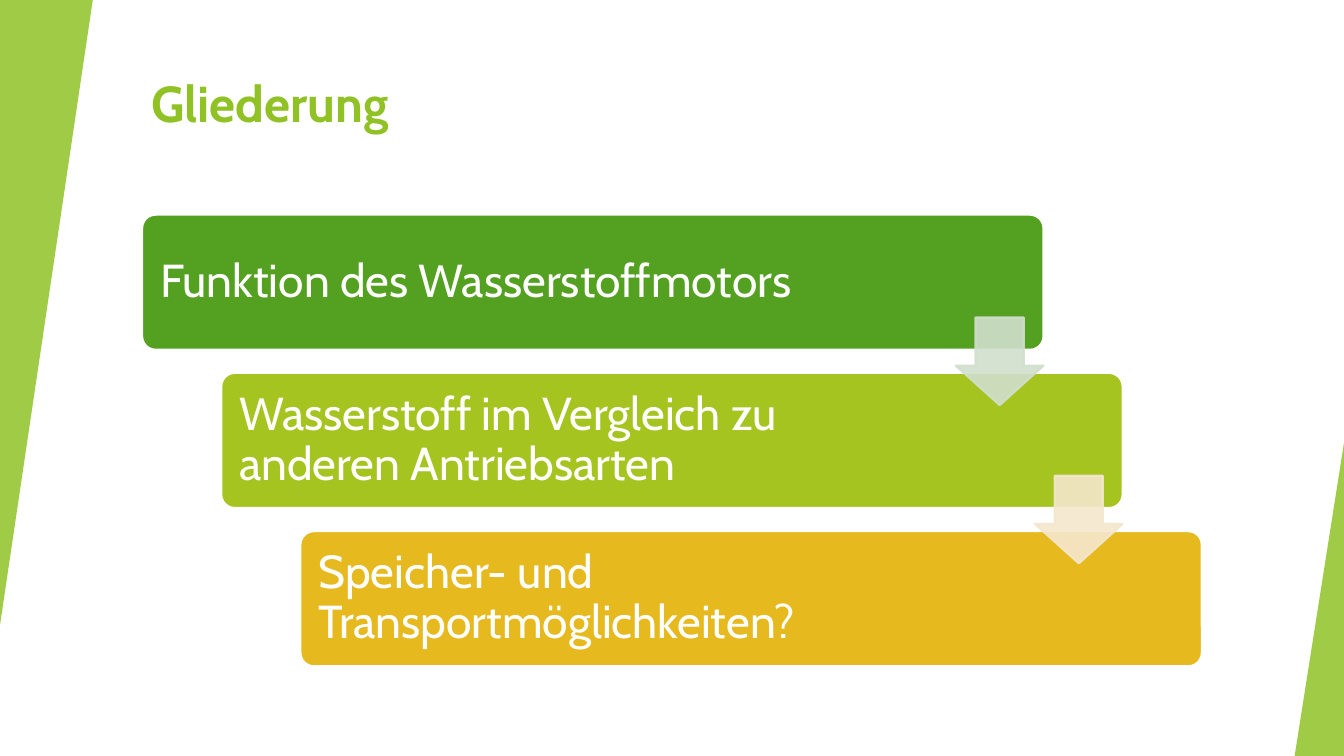
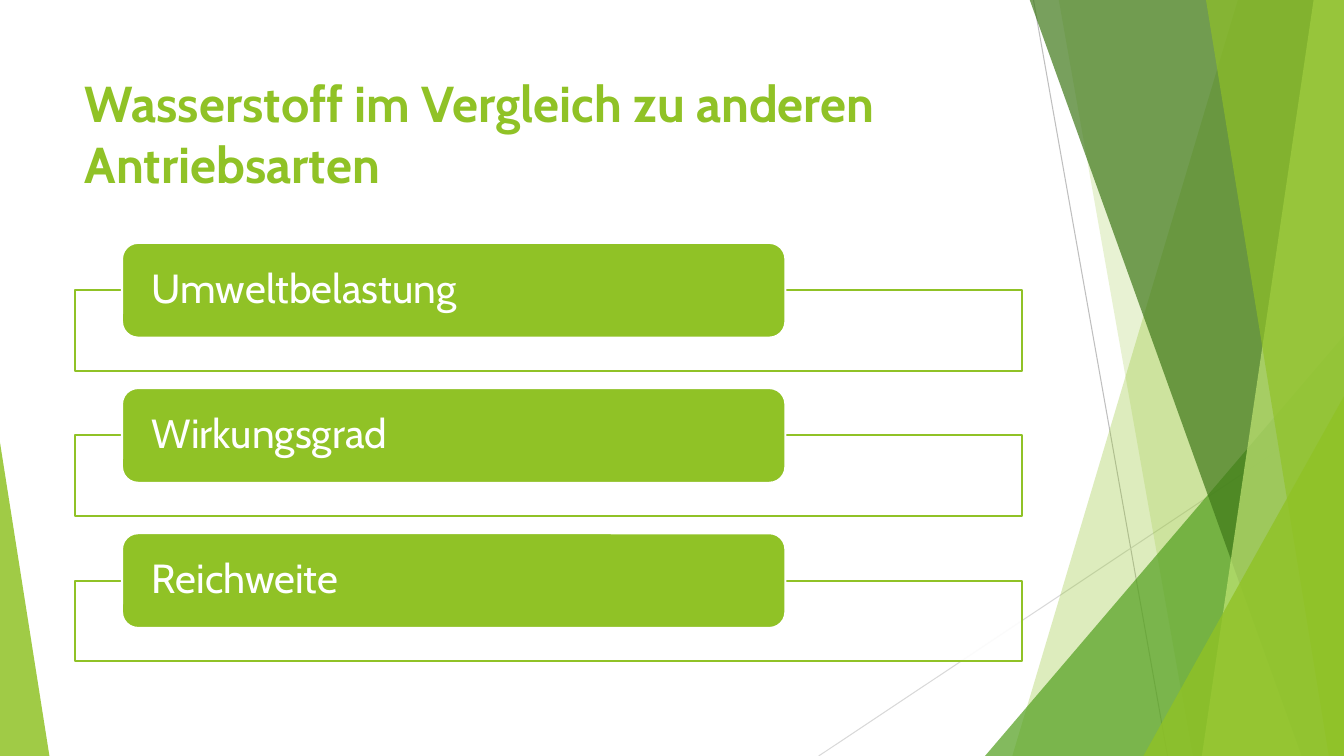
from dataclasses import dataclass
from typing import NamedTuple

from lxml.etree import SubElement
from pptx import Presentation
from pptx.dml.color import RGBColor
from pptx.enum.shapes import MSO_CONNECTOR as Connector, MSO_SHAPE as Preset
from pptx.enum.text import MSO_ANCHOR as Anchor, MSO_AUTO_SIZE as AutoSize, PP_ALIGN as Align
from pptx.oxml.ns import qn
from pptx.util import Inches, Pt


@dataclass(frozen=True)
class Theme:
    font: str = "Cabin"
    lime: str = "90C226"
    green: str = "54A021"
    forest: str = "3F7819"
    pale_lime: str = "C0E474"
    olive: str = "A5C41F"
    gold: str = "E6B91E"
    mist: str = "D1DFCD"
    cream: str = "F5E7CD"
    white: str = "FFFFFF"
    grey: str = "BFBFBF"
    light_grey: str = "D9D9D9"
    title_size: int = 36
    step_size: int = 33
    topic_size: int = 29
    outline: float = 1.5
    hairline: float = 0.75
    wedge_alpha: int = 85


class Box(NamedTuple):
    left: float
    top: float
    width: float
    height: float

    def inches(self):
        return [Inches(side) for side in self]


THEME = Theme()
WIDTH, HEIGHT = 13.33, 7.5
TITLE_ONLY = 5

FACET_LINES = [
    ((10.25, 0), (11.58, HEIGHT), THEME.grey),
    ((WIDTH, 4.03), (8.12, HEIGHT), THEME.light_grey),
]
BACK_BANDS = [(12.28, 10.04, THEME.lime, 30), (10.5, 11.83, THEME.lime, 20)]
FRONT_BANDS = [
    (10.21, 12.91, THEME.forest, 70),
    (13.03, 11.92, THEME.pale_lime, 70),
    (11.96, 13.18, THEME.lime, 65),
]
BAND_TOP = -0.01
LOW_WEDGE = Box(0, 4.39, 0.49, 3.11)


def set_alpha(shape, alpha, part="a:solidFill"):
    for color in shape.element.spPr.xpath(f"./{part}/a:srgbClr"):
        SubElement(color, qn("a:alpha"), val=str(alpha * 1000))


def paint(shape, fill, alpha=100, outline=None):
    shape.shadow.inherit = False
    shape.fill.solid()
    shape.fill.fore_color.rgb = RGBColor.from_string(fill)
    if alpha < 100:
        set_alpha(shape, alpha)
    if outline:
        shape.line.color.rgb = RGBColor.from_string(outline)
        shape.line.width = Pt(THEME.outline)
    else:
        shape.line.fill.background()
    return shape


def add_preset(slide, preset, box, fill, alpha=100, outline=None, adjust=()):
    shape = slide.shapes.add_shape(preset, *box.inches())
    for index, value in enumerate(adjust):
        shape.adjustments[index] = value
    return paint(shape, fill, alpha, outline)


def add_wedge(slide, box, apex, fill=THEME.lime, alpha=THEME.wedge_alpha):
    return add_preset(slide, Preset.ISOSCELES_TRIANGLE, box, fill, alpha, adjust=[apex])


def add_band(slide, top_x, bottom_x, fill, alpha):
    outline = slide.shapes.build_freeform(Inches(top_x), Inches(BAND_TOP), scale=1.0)
    corners = [(WIDTH, BAND_TOP), (WIDTH, HEIGHT), (bottom_x, HEIGHT)]
    outline.add_line_segments([(Inches(x), Inches(y)) for x, y in corners])
    return paint(outline.convert_to_shape(), fill, alpha)


def add_hairline(slide, start, end, color):
    hairline = slide.shapes.add_connector(
        Connector.STRAIGHT, *[Inches(value) for value in (*start, *end)]
    )
    hairline.line.color.rgb = RGBColor.from_string(color)
    hairline.line.width = Pt(THEME.hairline)
    SubElement(hairline.element.spPr, qn("a:effectLst"))
    return hairline


def move_facets_to_master(master, slide):
    facets = [add_hairline(slide, *spec) for spec in FACET_LINES]
    facets += [add_band(slide, *spec) for spec in BACK_BANDS]
    facets.append(add_wedge(slide, Box(9.77, 3.33, 3.56, 4.17), 1, THEME.green, 72))
    facets += [add_band(slide, *spec) for spec in FRONT_BANDS]
    facets.append(add_wedge(slide, Box(11.34, 3.93, 1.99, 3.57), 1, alpha=80))
    facets.append(add_wedge(slide, LOW_WEDGE, 0))
    for index, facet in enumerate(facets):
        facet.element.xpath(".//p:cNvPr")[0].set("id", str(100 + index))
        master.shapes.element.insert(2 + index, facet.element)


def format_text(shape, size, color, anchor, bold=False):
    frame = shape.text_frame
    frame.word_wrap = True
    frame.auto_size = AutoSize.NONE
    frame.vertical_anchor = anchor
    for paragraph in frame.paragraphs:
        paragraph.alignment = Align.LEFT
        for run in paragraph.runs:
            run.font.name = THEME.font
            run.font.size = Pt(size)
            run.font.bold = bold
            run.font.color.rgb = RGBColor.from_string(color)


def set_title(slide, text, box):
    title = slide.shapes.title
    title.left, title.top, title.width, title.height = box.inches()
    title.text_frame.text = text
    format_text(title, THEME.title_size, THEME.lime, Anchor.TOP, bold=True)


def add_backdrop(slide):
    backdrop = add_preset(slide, Preset.RECTANGLE, Box(0, 0, WIDTH, HEIGHT), THEME.white)
    slide.shapes.element.insert(2, backdrop.element)


def add_label(slide, text, box, fill, size, corner, left_inset, right_inset):
    label = add_preset(
        slide, Preset.ROUNDED_RECTANGLE, box, fill, outline=THEME.white, adjust=[corner]
    )
    frame = label.text_frame
    frame.text = text
    frame.margin_left, frame.margin_right = Inches(left_inset), Inches(right_inset)
    frame.margin_top = frame.margin_bottom = 0
    frame.paragraphs[0].line_spacing = 0.9
    format_text(label, size, THEME.white, Anchor.MIDDLE)


def add_staircase(slide, box, steps, arrow_colors):
    step_width, step_height, arrow_side = 8.94, 1.34, 0.87
    shift_x = (box.width - step_width) / (len(steps) - 1)
    shift_y = (box.height - step_height) / (len(steps) - 1)
    corners = [(box.left + i * shift_x, box.top + i * shift_y) for i in range(len(steps))]
    for (left, top), (text, fill) in zip(corners, steps):
        step = Box(left, top, step_width, step_height)
        add_label(slide, text, step, fill, THEME.step_size, 0.1, 0.14, 1.84)
    for (left, top), color in zip(corners, arrow_colors):
        arrow_box = Box(left + step_width - arrow_side, top + 1.02, arrow_side, arrow_side)
        arrow = add_preset(
            slide, Preset.DOWN_ARROW, arrow_box, color, 90, color, adjust=[0.55, 0.45]
        )
        set_alpha(arrow, 90, "a:ln/a:solidFill")


def add_topics(slide, box, topics):
    pitch, label_height, frame_offset = 1.44, 0.94, 0.47
    for index, text in enumerate(topics):
        top = box.top + index * pitch
        frame = Box(box.left, top + frame_offset, box.width, 0.8)
        add_preset(slide, Preset.RECTANGLE, frame, THEME.white, 90, THEME.lime)
        label = Box(box.left + box.width * 0.05, top, box.width * 0.7, label_height)
        add_label(slide, text, label, THEME.lime, THEME.topic_size, 0.17, 0.25, 0.25)


def build_outline(slide):
    add_backdrop(slide)
    set_title(slide, "Gliederung", Box(1.4, 0.67, 11.15, 1.2))
    add_wedge(slide, Box(0, 0, 0.92, 6.2), 1).rotation = 180
    add_wedge(slide, LOW_WEDGE._replace(left=WIDTH - LOW_WEDGE.width), 1)
    steps = [
        ("Funktion des Wasserstoffmotors", THEME.green),
        ("Wasserstoff im Vergleich zu anderen Antriebsarten", THEME.olive),
        ("Speicher- und Transportmöglichkeiten?", THEME.gold),
    ]
    add_staircase(slide, Box(1.41, 2.13, 10.51, 4.48), steps, [THEME.mist, THEME.cream])


def build_comparison(slide):
    set_title(
        slide,
        "Wasserstoff im Vergleich zu anderen Antriebsarten",
        Box(0.74, 0.67, 9.4, 1.44),
    )
    topics = ["Umweltbelastung", "Wirkungsgrad", "Reichweite"]
    add_topics(slide, Box(0.74, 2.41, 9.4, 4.15), topics)


def main():
    deck = Presentation()
    deck.slide_width, deck.slide_height = Inches(WIDTH), Inches(HEIGHT)
    layout = deck.slide_layouts[TITLE_ONLY]
    outline, comparison = [deck.slides.add_slide(layout) for _ in range(2)]
    move_facets_to_master(deck.slide_master, comparison)
    build_outline(outline)
    build_comparison(comparison)
    deck.save("out.pptx")


if __name__ == "__main__":
    main()
